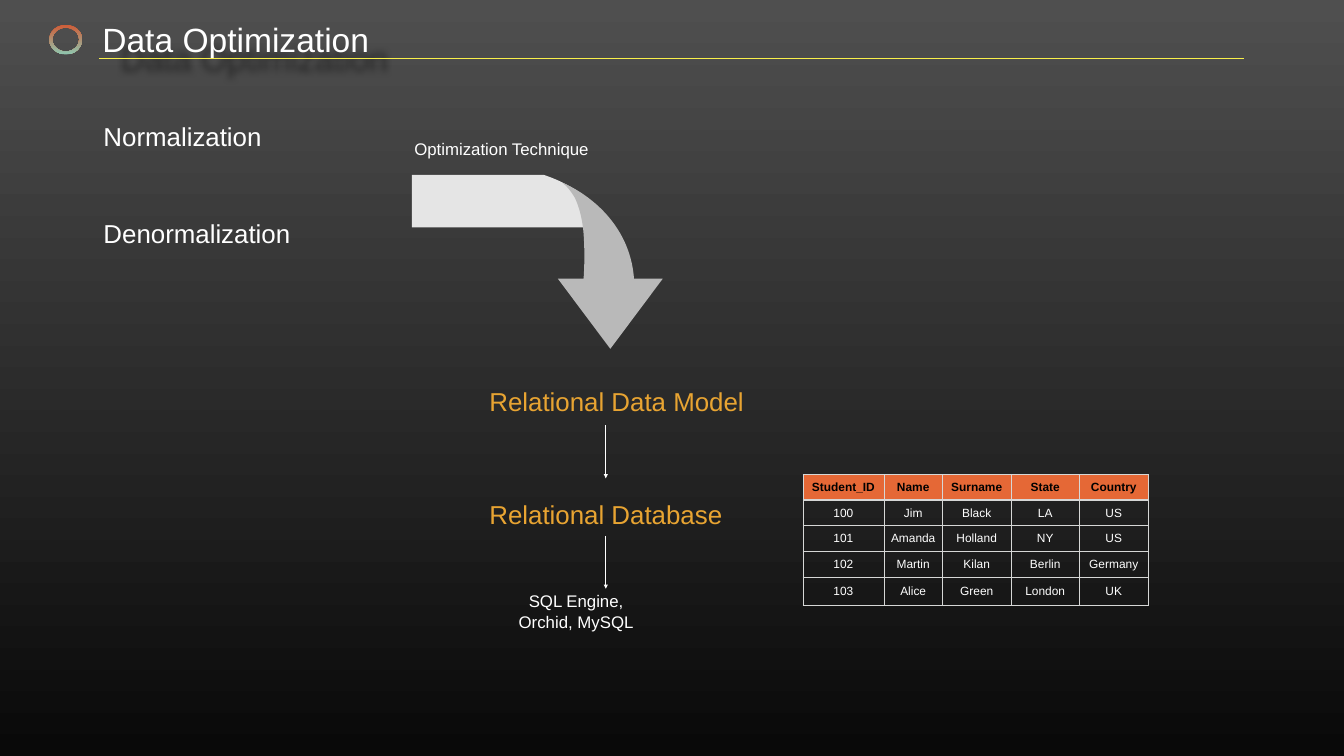
from lxml import etree
from pptx import Presentation
from pptx import util as u
from pptx.dml import color
from pptx.enum import shapes, text
from pptx.oxml import ns

WIDTH, HEIGHT = 26.67, 15
COLUMNS = 80
WHITE, BLACK, AMBER, ORANGE, RULE = "FFFFFF", "000000", "E8A432", "E56836", "D6D7D6"
STUDENTS = [
    ["Student_ID", "Name", "Surname", "State", "Country"],
    ["100", "Jim", "Black", "LA", "US"],
    ["101", "Amanda", "Holland", "NY", "US"],
    ["102", "Martin", "Kilan", "Berlin", "Germany"],
    ["103", "Alice", "Green", "London", "UK"],
]
BAND = [(0, 3.12), [(0, 0)], [(7.86, 0)],
        [(8.94, 0.36), (9.93, 0.9), (10.74, 1.65)],
        [(11.25, 2.07), (11.67, 2.58), (12.03, 3.12)]]
HEAD = [(11.82, 10.35), [(8.7, 6.18)], [(10.23, 6.18)],
        [(10.29, 5.28), (10.29, 4.38), (10.23, 3.51)],
        [(10.17, 2.76), (10.02, 2.04), (9.72, 1.38)],
        [(9.51, 1.02), (9.27, 0.69), (8.94, 0.45)],
        [(9.63, 0.75), (10.26, 1.14), (10.83, 1.62)],
        [(11.52, 2.19), (12.12, 2.91), (12.54, 3.72)],
        [(12.93, 4.47), (13.17, 5.31), (13.23, 6.18)],
        [(14.94, 6.18)]]


def grid(*cells):
    return [u.Inches(cell * WIDTH / COLUMNS) for cell in cells]


def rgb(value):
    return color.RGBColor.from_string(value)


def add_element(parent, tag, **attributes):
    return etree.SubElement(parent, ns.qn(tag), attributes)


def shade(fill, start, end):
    fill.gradient()
    fill.gradient_angle = 270
    for stop, value in zip(fill.gradient_stops, (start, end)):
        stop.color.rgb = rgb(value)


def write(frame, words, size, ink, align=text.PP_ALIGN.LEFT, wrap=False, bold=False):
    frame.text = words
    frame.word_wrap = wrap
    para = frame.paragraphs[0]
    para.alignment = align
    font = para.font
    font.name, font.size, font.bold = "Arial", u.Pt(size), bold
    font.color.rgb = rgb(ink)


def set_frame(frame):
    frame.vertical_anchor = text.MSO_ANCHOR.MIDDLE
    frame.auto_size = text.MSO_AUTO_SIZE.NONE
    frame.margin_left = frame.margin_right = u.Inches(0.08)
    frame.margin_top = frame.margin_bottom = u.Inches(0.08)


def add_label(page, box, words, size, ink=WHITE, **style):
    label = page.shapes.add_textbox(*grid(*box))
    set_frame(label.text_frame)
    write(label.text_frame, words, size, ink, **style)


def add_line(page, start, end, ink, weight, arrow=False):
    line = page.shapes.add_connector(
        shapes.MSO_CONNECTOR.STRAIGHT, *grid(*start, *end))
    line.line.color.rgb = rgb(ink)
    line.line.width = u.Pt(weight)
    if arrow:
        add_element(line.line._get_or_add_ln(), "a:tailEnd", type="triangle")
    add_element(line._element.spPr, "a:effectLst")


def trace(outline):
    points = [outline[0]]
    for segment in outline[1:]:
        if len(segment) == 1:
            points += segment
            continue
        controls = [points[-1], *segment]
        for step in range(1, 13):
            t = step / 12
            weights = ((1 - t) ** 3, 3 * t * (1 - t) ** 2, 3 * t * t * (1 - t), t ** 3)
            points.append(tuple(
                sum(weight * point[axis] for weight, point in zip(weights, controls))
                for axis in (0, 1)))
    return points


def add_outline(page, left, top, outline, ink):
    points = [grid(left + x, top + y) for x, y in trace(outline)]
    builder = page.shapes.build_freeform(*points[0], scale=1.0)
    builder.add_line_segments(points[1:], close=True)
    shape = builder.convert_to_shape()
    shape.shadow.inherit = False
    shape.fill.solid()
    shape.fill.fore_color.rgb = rgb(ink)
    shape.line.fill.background()


def add_header(page, box):
    left, top, width, height = box
    title = page.shapes.title
    title.left, title.top, title.width, title.height = grid(left + 2.91, top, 31.7, height)
    set_frame(title.text_frame)
    write(title.text_frame, "Data Optimization", 48, WHITE)
    effects = add_element(title._element.spPr, "a:effectLst")
    shadow = add_element(effects, "a:outerShdw", blurRad="127000",
                         dist="457200", dir="2700000")
    ink = add_element(shadow, "a:srgbClr", val=BLACK)
    add_element(ink, "a:alpha", val="50000")
    add_line(page, (left + 2.97, top + 2.29), (left + width, top + 2.29), "F8EF4A", 1)
    badge = page.shapes.add_shape(
        shapes.MSO_SHAPE.DONUT, *grid(left, top + 0.3, 1.95, 1.77))
    badge.adjustments[0] = 0.1
    badge.shadow.inherit = False
    shade(badge.fill, "CF5C37", "8FC5AE")
    badge.line.fill.background()


def add_techniques(page, box):
    left, top, width, height = box
    for row, words in enumerate(("Normalization", "Denormalization")):
        add_label(page, (left, top + row * 5.79, width, height), words, 37)


def add_curved_arrow(page, box):
    left, top, width, height = box
    add_outline(page, left, top, BAND, "E5E5E5")
    add_outline(page, left, top, HEAD, "B9B9B9")
    add_label(page, (left - 0.09, top - 2.37, width, height),
              "Optimization Technique", 24)


def add_flow(page, box):
    left, top, width, height = box
    centre = left + 7.17
    for stage, words in enumerate(("Relational Data Model", "Relational Database")):
        add_label(page, (left, top + stage * 6.72, width, height), words, 37, AMBER)
        start = top + 2.61 + stage * 6.57
        add_line(page, (centre, start), (centre, start + 3.15), WHITE, 2, arrow=True)
    add_label(page, (left + 0.72, top + 12.27, 9.36, 2.8),
              "SQL Engine, Orchid, MySQL", 24,
              align=text.PP_ALIGN.CENTER, wrap=True)


def add_borders(cell, bottom, top):
    properties = cell._tc.get_or_add_tcPr()
    for position, (side, weight) in enumerate(
            (("L", 1), ("R", 1), ("T", top), ("B", bottom))):
        border = etree.Element(ns.qn(f"a:ln{side}"), {"w": str(u.Pt(weight))})
        fill = add_element(border, "a:solidFill")
        add_element(fill, "a:srgbClr", val=RULE)
        properties.insert(position, border)


def add_students(page, box):
    table = page.shapes.add_table(len(STUDENTS), len(STUDENTS[0]), *grid(*box)).table
    for column, width in zip(table.columns, grid(4.83, 3.48, 4.08, 4.08, 4.08)):
        column.width = width
    for row, height in zip(table.rows, grid(1.53, 1.53, 1.53, 1.53, 1.68)):
        row.height = height
    for row, record in enumerate(STUDENTS):
        header = row == 0
        for column, words in enumerate(record):
            cell = table.cell(row, column)
            write(cell.text_frame, words, 17, BLACK if header else WHITE,
                  align=text.PP_ALIGN.CENTER, wrap=True, bold=header)
            cell.vertical_anchor = text.MSO_ANCHOR.MIDDLE
            cell.margin_left = cell.margin_right = u.Inches(0.06)
            cell.margin_top = cell.margin_bottom = u.Inches(0.06)
            if header:
                cell.fill.solid()
                cell.fill.fore_color.rgb = rgb(ORANGE)
            else:
                cell.fill.background()
            add_borders(cell, bottom=2 if header else 1, top=2 if row == 1 else 1)


def main():
    deck = Presentation()
    deck.slide_width, deck.slide_height = u.Inches(WIDTH), u.Inches(HEIGHT)
    page = deck.slides.add_slide(deck.slide_layouts[5])
    shade(page.background.fill, "4F4F4F", "090909")
    add_header(page, (2.94, 1.17, 71.13, 2.31))
    add_techniques(page, (5.92, 6.96, 11.67, 2.31))
    add_curved_arrow(page, (24.51, 10.41, 11.01, 1.68))
    add_flow(page, (28.89, 22.71, 15.69, 2.31))
    add_students(page, (47.79, 28.23, 20.55, 7.8))
    deck.save("out.pptx")


if __name__ == "__main__":
    main()
